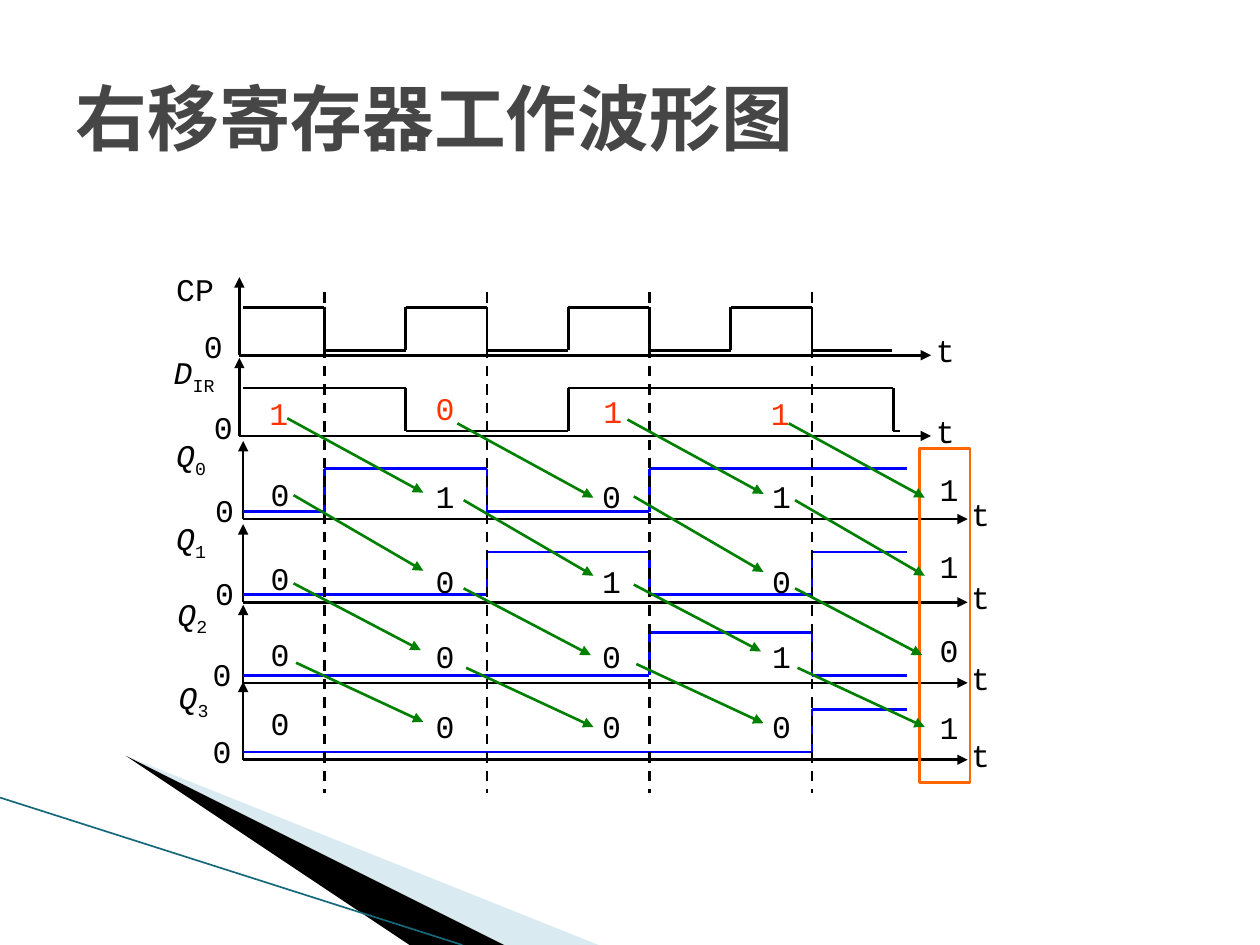
import itertools
import pptx
import pptx.util
import pptx.dml.color
import pptx.enum.dml
import pptx.enum.shapes
import pptx.enum.text
import pptx.oxml.ns
import pptx.oxml.xmlchemy

TITLE = "右移寄存器工作波形图"
FONT = "Courier New"
BLACK, BLUE, GREEN, RED, ORANGE = "000000", "0000FF", "008000", "FF3300", "FF6600"

SIGNALS = [
    dict(name="CP", sub="", label=(1.3, 2.09), zero=1.52, axis=2.82, levels="10101010", end=7.08),
    dict(name="D", sub="IR", label=(1.28, 2.75), zero=1.6, axis=3.46, levels="110011110", end=7.14),
    dict(name="Q", sub="0", label=(1.3, 3.41), zero=1.61, axis=4.12, levels="01100111", end=7.2),
    dict(name="Q", sub="1", label=(1.3, 4.07), zero=1.61, axis=4.78, levels="00011001", end=7.2),
    dict(name="Q", sub="2", label=(1.31, 4.67), zero=1.59, axis=5.42, levels="00000110", end=7.2),
    dict(name="Q", sub="3", label=(1.32, 5.33), zero=1.59, axis=6.03, levels="00000001", end=7.2),
]
INPUT_STYLE = dict(color=BLACK, left=1.9, right=7.39, time=7.33, gap=0.04)
OUTPUT_STYLE = dict(color=BLUE, left=1.93, right=7.68, time=7.61, gap=0.06)
START, CYCLE, SWING = 1.93, 1.29, 0.34
HALF = CYCLE / 2

INPUT_BITS = [("1", 2.04, 3.08), ("0", 3.36, 3.04), ("1", 4.69, 3.06), ("1", 6.02, 3.08)]
STATES = [
    ("0000", 2.05, (3.72, 4.39, 4.99, 5.54)),
    ("1000", 3.36, (3.74, 4.41, 5.01, 5.56)),
    ("0100", 4.68, (3.74, 4.41, 5.01, 5.56)),
    ("1010", 6.03, (3.74, 4.41, 5.01, 5.56)),
    ("1101", 7.36, (3.68, 4.29, 4.96, 5.57)),
]
SHIFT_COLUMNS = [(2.28, 0), (3.63, 0.04), (4.98, 0.01), (6.26, 0.04)]
SHIFT_ROWS = [(0, 3.32, 1.08, 3.91), (0.05, 3.93, 1.08, 4.53),
              (0.05, 4.63, 1.06, 5.16), (0.07, 5.26, 1.08, 5.73)]
SWOOSHES = [
    ("A0CBDC", 40, [(0.55, 6.5), (5.9, 7.5), (4.52, 7.5)]),
    (BLACK, 100, [(0.53, 6.49), (4.53, 7.5), (3.67, 7.5)]),
]

inch = pptx.util.Inches
qn = pptx.oxml.ns.qn
new_element = pptx.oxml.xmlchemy.OxmlElement


def rgb(color):
    return pptx.dml.color.RGBColor.from_string(color)


def add_line(page, start, end, color, width=1.5, dash=False, arrow=False):
    line = page.shapes.add_connector(
        pptx.enum.shapes.MSO_CONNECTOR.STRAIGHT, *(inch(value) for value in (*start, *end)))
    line.line.color.rgb = rgb(color)
    line.line.width = pptx.util.Pt(width)
    if dash:
        line.line.dash_style = pptx.enum.dml.MSO_LINE.DASH
    properties = line._element.spPr
    if arrow:
        head = new_element("a:tailEnd")
        head.set("type", "triangle")
        properties.find(qn("a:ln")).append(head)
    properties.append(new_element("a:effectLst"))


def add_text(page, text, left, top, width=0.4, color=BLACK, sub=""):
    box = page.shapes.add_textbox(inch(left), inch(top), inch(width), inch(0.4))
    box.text_frame.word_wrap = True
    para = box.text_frame.paragraphs[0]
    para.alignment = pptx.enum.text.PP_ALIGN.JUSTIFY
    para.text = text
    para.runs[0].font.italic = bool(sub)
    if sub:
        span = para.add_run()
        span.text = sub
        span._r.get_or_add_rPr().set("baseline", "-25000")
    for span in para.runs:
        span.font.name = FONT
        span.font.size = pptx.util.Pt(18)
        span.font.color.rgb = rgb(color)


def add_swoosh(page, color, opacity, points):
    builder = page.shapes.build_freeform(*points[0], scale=inch(1))
    builder.add_line_segments(points[1:], close=True)
    shape = builder.convert_to_shape()
    shape.shadow.inherit = False
    shape.line.fill.background()
    shape.fill.solid()
    shape.fill.fore_color.rgb = rgb(color)
    if opacity < 100:
        alpha = new_element("a:alpha")
        alpha.set("val", str(opacity * 1000))
        shape._element.spPr.find(".//" + qn("a:srgbClr")).append(alpha)


def add_wave(page, levels, end, high, low, color):
    runs = [(level, len(list(group))) for level, group in itertools.groupby(levels)]
    left, done, previous = START, 0, None
    for index, (level, count) in enumerate(runs):
        done += count
        right = end if index == len(runs) - 1 else START + done * HALF
        y = high if level == "1" else low
        if previous is not None:
            add_line(page, (left, previous), (left, y), color)
        add_line(page, (left, y), (right, y), color)
        left, previous = right, y


def add_signal(page, signal, style):
    axis, left = signal["axis"], style["left"]
    low = axis - style["gap"]
    add_text(page, signal["name"], *signal["label"], width=0.75, sub=signal["sub"])
    add_text(page, "0", signal["zero"], axis - 0.27)
    add_text(page, "t", style["time"], axis - 0.24)
    add_line(page, (left, axis), (style["right"], axis), BLACK, arrow=True)
    add_line(page, (left, axis), (left, axis - 0.62), BLACK, arrow=True)
    add_wave(page, signal["levels"], signal["end"], low - SWING, low, style["color"])


def add_title(page):
    title = page.shapes.title
    title.left, title.top, title.width, title.height = map(inch, (0.5, 0.3, 9, 1.25))
    title.text_frame.text = TITLE
    title.text_frame.vertical_anchor = pptx.enum.text.MSO_ANCHOR.MIDDLE
    para = title.text_frame.paragraphs[0]
    para.alignment = pptx.enum.text.PP_ALIGN.LEFT
    font = para.runs[0].font
    font.name, font.size, font.bold = FONT, pptx.util.Pt(41), True
    font.color.rgb = rgb("464646")


def main():
    deck = pptx.Presentation()
    deck.slide_width, deck.slide_height = inch(10), inch(7.5)
    page = deck.slides.add_slide(deck.slide_layouts[5])
    for swoosh in SWOOSHES:
        add_swoosh(page, *swoosh)
    add_line(page, (0, 6.33), (3.67, 7.5), "16697A", width=0.95)
    add_title(page)

    for index, signal in enumerate(SIGNALS):
        add_signal(page, signal, INPUT_STYLE if index < 2 else OUTPUT_STYLE)
    for cycle in range(4):
        x = START + HALF + cycle * CYCLE
        add_line(page, (x, 2.32), (x, 6.29), BLACK, dash=True)

    for bit, left, top in INPUT_BITS:
        add_text(page, bit, left, top, color=RED)
    for bits, left, tops in STATES:
        for bit, top in zip(bits, tops):
            add_text(page, bit, left, top)

    frame = page.shapes.add_shape(
        pptx.enum.shapes.MSO_SHAPE.RECTANGLE, inch(7.3), inch(3.56), inch(0.4), inch(2.65))
    frame.shadow.inherit = False
    frame.fill.background()
    frame.line.color.rgb = rgb(ORANGE)
    frame.line.width = pptx.util.Pt(1.5)

    for (x, drop), (indent, top, run, bottom) in itertools.product(SHIFT_COLUMNS, SHIFT_ROWS):
        add_line(page, (x + indent, top + drop), (x + run, bottom + drop), GREEN, arrow=True)
    deck.save("out.pptx")


if __name__ == "__main__":
    main()
